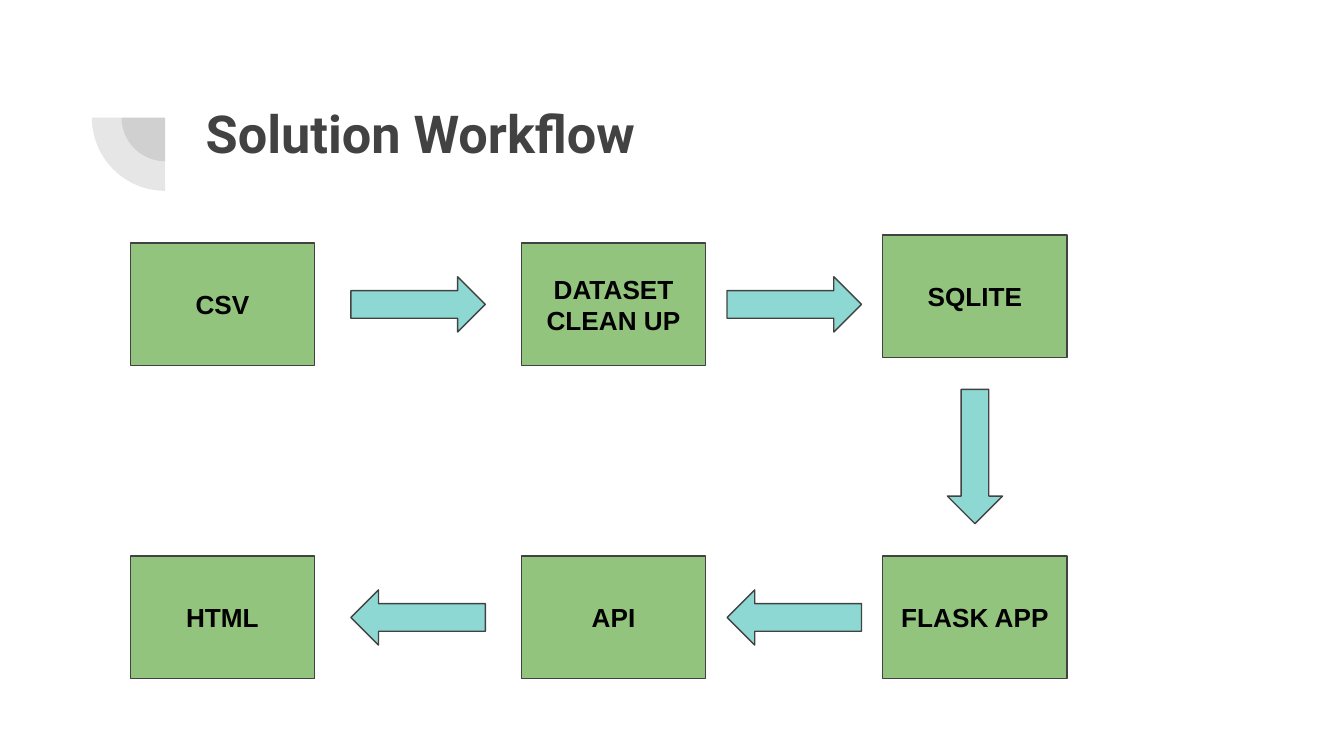
from lxml import etree
from pptx import Presentation
from pptx.dml.color import RGBColor
from pptx.enum.shapes import MSO_SHAPE as SHAPE
from pptx.enum.text import MSO_ANCHOR as ANCHOR, PP_ALIGN as ALIGN
from pptx.oxml.ns import qn
from pptx.util import Pt

DARK = RGBColor(0x42, 0x42, 0x42)
GREEN = RGBColor(0x93, 0xC4, 0x7D)
TEAL = RGBColor(0x8D, 0xD8, 0xD3)
BLACK = RGBColor(0, 0, 0)
INSET = Pt(7.2)

presentation = Presentation()
presentation.slide_width, presentation.slide_height = Pt(720), Pt(405)
slide = presentation.slides.add_slide(presentation.slide_layouts[5])


def add_centred(kind, x, y, width, height, fill):
    """Add a filled preset shape around the centre (x, y)."""
    shape = slide.shapes.add_shape(
        kind, Pt(x - width / 2), Pt(y - height / 2), Pt(width), Pt(height))
    shape.shadow.inherit = False
    shape.fill.solid()
    shape.fill.fore_color.rgb = fill
    shape.line.color.rgb = DARK
    shape.line.width = Pt(0.75)
    return shape


def style_text(text_frame, font_name, size, color, alignment, anchor):
    text_frame.word_wrap = True
    text_frame.vertical_anchor = anchor
    text_frame.margin_left = text_frame.margin_right = INSET
    text_frame.margin_top = text_frame.margin_bottom = INSET
    for paragraph in text_frame.paragraphs:
        paragraph.alignment = alignment
        for run in paragraph.runs:
            run.font.name = font_name
            run.font.size = Pt(size)
            run.font.bold = True
            run.font.color.rgb = color


# Title
title = slide.shapes.title
title.left, title.top, title.width, title.height = Pt(103), Pt(46.8), Pt(553.7), Pt(78.5)
title.text_frame.text = "Solution Workflow"
style_text(title.text_frame, "Roboto", 28, DARK, ALIGN.LEFT, ANCHOR.TOP)

# Translucent quarter circles beside the title
for diameter in (46.8, 78.5):
    quarter = add_centred(SHAPE.PIE, 88.5, 63, diameter, diameter, DARK)
    quarter.adjustments[0], quarter.adjustments[1] = 108, 162
    quarter.rotation = 270
    quarter.line.fill.background()
    color = quarter.fill._xPr.find(qn("a:solidFill"))[0]
    etree.SubElement(color, qn("a:alpha"), val="13000")

# Workflow steps, by column and row centres
LEFT, MIDDLE, RIGHT = 119.2, 328.7, 522.3
TOP, BOTTOM = 163.1, 330.8
steps = [
    ("CSV", LEFT, TOP),
    ("DATASET\nCLEAN UP", MIDDLE, TOP),
    ("SQLITE", RIGHT, TOP - 4.4),
    ("FLASK APP", RIGHT, BOTTOM),
    ("API", MIDDLE, BOTTOM),
    ("HTML", LEFT, BOTTOM),
]
for label, x, y in steps:
    box = add_centred(SHAPE.RECTANGLE, x, y, 98.8, 65.7, GREEN)
    box.text_frame.text = label
    style_text(box.text_frame, "Arial", 14, BLACK, ALIGN.CENTER, ANCHOR.MIDDLE)

# Block arrows: right along the top, down, then back along the bottom
arrows = [(x, y, angle) for y, angle in ((TOP, 0), (BOTTOM, 180)) for x in (224, 425.5)]
arrows.append((RIGHT, 244.6, 90))
for x, y, angle in arrows:
    arrow = add_centred(SHAPE.RIGHT_ARROW, x, y, 72, 29.6, TEAL)
    arrow.rotation = angle

presentation.save("out.pptx")
